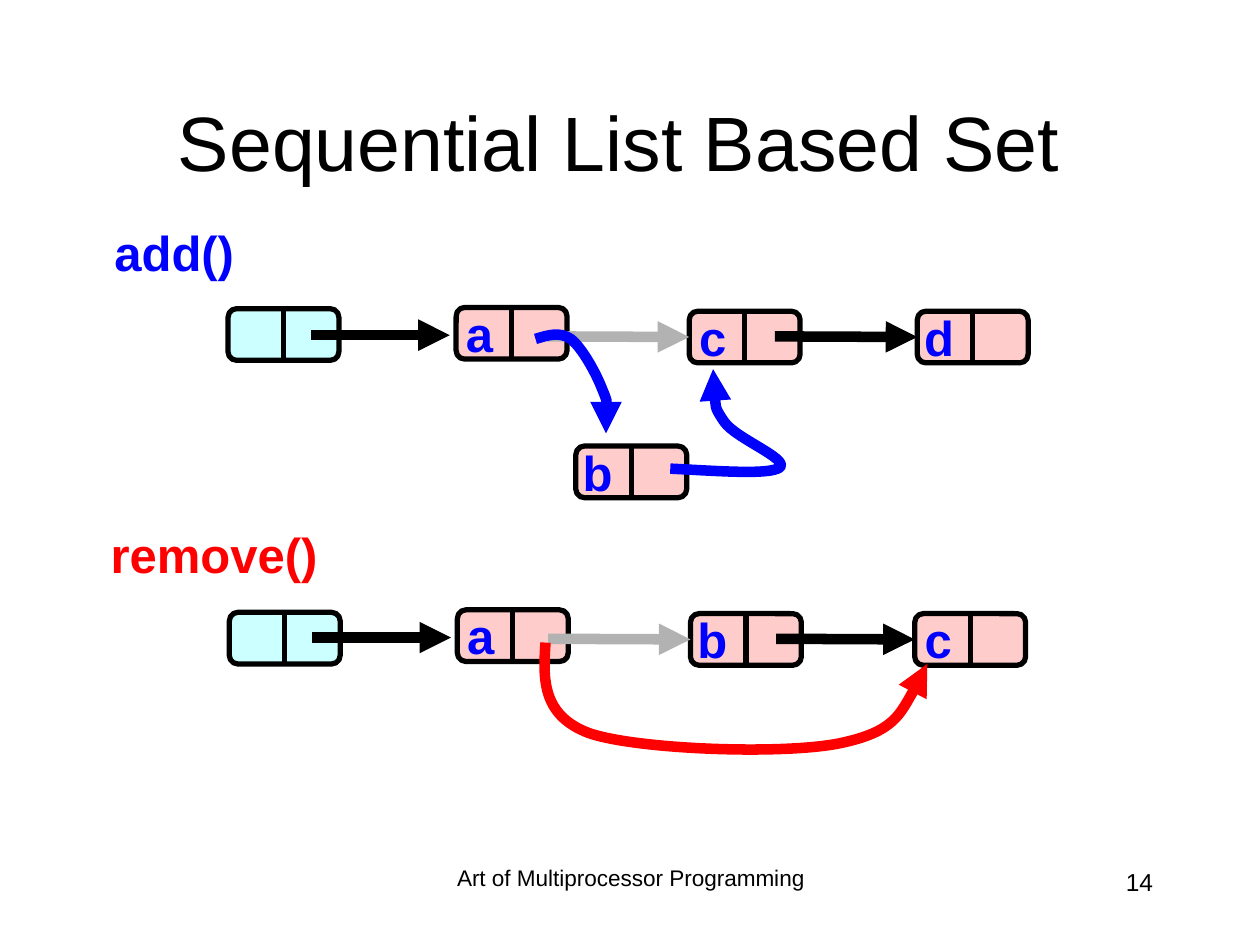
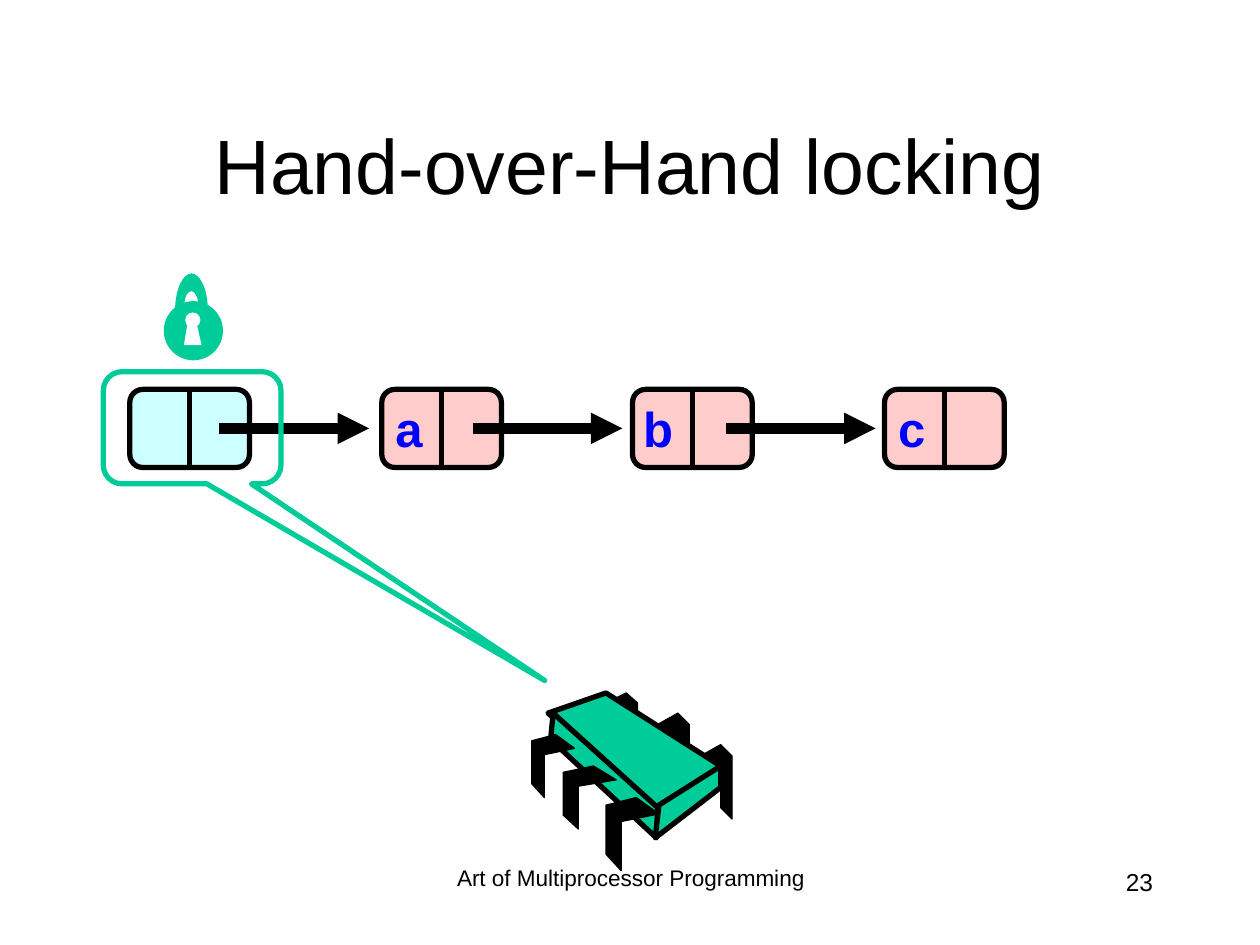
"""Build two slides about linked-list sets and hand-over-hand locking."""
from typing import NamedTuple, Optional

from lxml.etree import SubElement
from pptx import Presentation
from pptx.dml.color import RGBColor
from pptx.enum.shapes import MSO_CONNECTOR, MSO_SHAPE
from pptx.enum.text import MSO_ANCHOR, MSO_AUTO_SIZE, PP_ALIGN
from pptx.oxml.ns import qn
from pptx.util import Pt

PX = 9144
BLACK = RGBColor(0x00, 0x00, 0x00)
WHITE = RGBColor(0xFF, 0xFF, 0xFF)
BLUE = RGBColor(0x00, 0x00, 0xFF)
RED = RGBColor(0xFF, 0x00, 0x00)
GREY = RGBColor(0xB2, 0xB2, 0xB2)
GREEN = RGBColor(0x00, 0xCC, 0x99)
CYAN = RGBColor(0xCC, 0xFF, 0xFF)
PINK = RGBColor(0xFF, 0xCC, 0xCC)
FONT = "Arial"
CORNER = 0.167
LABEL_HEIGHT = 57
NARROW_LETTERS = "ac"


class Box(NamedTuple):
    left: int
    top: int
    width: int
    height: int


class Text(NamedTuple):
    content: str
    box: Box
    size: float = 28
    color: RGBColor = BLACK
    bold: bool = False
    align: PP_ALIGN = PP_ALIGN.LEFT
    anchor: MSO_ANCHOR = MSO_ANCHOR.TOP
    wrap: bool = True
    spacing: float = 1.0


class Node(NamedTuple):
    left: int
    top: int
    letter: str = ""


class Arrow(NamedTuple):
    left: int
    middle: int
    length: int
    color: RGBColor = BLACK
    target: Optional[int] = None


class Outline(NamedTuple):
    start: tuple
    segments: list
    fill: Optional[RGBColor] = None
    line: Optional[RGBColor] = None
    weight: float = 0
    arrow: bool = False


class Leg(NamedTuple):
    box: Box
    points: list


class Row(NamedTuple):
    width: int
    height: int
    nodes: list
    arrows: list


BACK_LEG = [(0, 9), (16, 0), (25, 9), (25, 59), (16, 50), (16, 17), (0, 25)]
FRONT_LEG = [(24, 0), (42, 13), (12, 19), (12, 58), (0, 45), (0, 6)]

ADD_ROW = Row(88, 41, [
    Node(181, 245), Node(362, 244, "a"), Node(547, 247, "c"),
    Node(728, 247, "d"), Node(457, 354, "b"),
], [
    Arrow(247, 266, 110), Arrow(615, 267, 111, target=3),
    Arrow(434, 267, 111, GREY, target=2),
])
REMOVE_ROW = Row(88, 41, [
    Node(182, 486), Node(363, 484, "a"), Node(548, 487, "b"), Node(726, 487, "c"),
], [
    Arrow(248, 506, 110), Arrow(616, 507, 111, target=3),
    Arrow(435, 507, 111, GREY, target=2),
])
LOCK_ROW = Row(95, 62, [
    Node(103 + 200 * index - index // 2, 309, letter)
    for index, letter in enumerate(["", "a", "b", "c"])
], [Arrow(174 + 201 * index, 340, 119) for index in range(3)])

CURVES = [
    Outline((532, 372), [
        [(572, 374), (611, 377), (619, 371)],
        [(626, 364), (584, 348), (575, 335)],
        [(566, 322), (566, 307), (566, 293)],
    ], line=BLUE, weight=6, arrow=True),
    Outline((425, 269), [
        [(435, 266), (444, 263), (453, 269)],
        [(462, 276), (473, 296), (478, 309)],
        [(483, 321), (482, 332), (481, 344)],
    ], line=BLUE, weight=6, arrow=True),
    Outline((433, 510), [
        [(431, 539), (430, 568), (468, 582)],
        [(507, 595), (621, 599), (666, 590)],
        [(710, 581), (723, 554), (736, 527)],
    ], line=RED, weight=6, arrow=True),
]
BACK_LEGS = [
    Leg(Box(556, 591, 25, 59), BACK_LEG),
    Leg(Box(522, 566, 25, 59), BACK_LEG),
    Leg(Box(481, 550, 25, 50), BACK_LEG),
]
FRONT_LEGS = [
    Leg(Box(481, 633, 42, 58), FRONT_LEG),
    Leg(Box(447, 608, 42, 50), FRONT_LEG),
    Leg(Box(422, 583, 34, 50), FRONT_LEG),
]
CHIP_FACES = [
    [(481, 550), (572, 608), (521, 643), (435, 566)],
    [(439, 566), (522, 641), (521, 665), (437, 587)],
    [(572, 608), (572, 625), (520, 665), (523, 639)],
]
KEYHOLE = [(146, 274), (149, 256), (156, 256), (160, 274)]
SHACKLE = Outline((146, 246), [
    [(146, 238), (148, 231), (152, 231)],
    [(155, 231), (158, 238), (158, 246)],
    [(165, 246)],
    [(165, 230), (159, 217), (152, 217)],
    [(145, 217), (139, 230), (139, 246)],
    [(146, 246)],
], fill=GREEN)


def to_emu(lengths) -> list:
    """Turn px lengths into EMU."""
    return [length * PX for length in lengths]


def apply(target, values: dict) -> None:
    """Set each named attribute of the target."""
    for name, value in values.items():
        setattr(target, name, value)


def paint(shape, fill: Optional[RGBColor], line: Optional[RGBColor], weight: float) -> None:
    """Give a shape its fill and line, without a shadow."""
    shape.shadow.inherit = False
    for part, color in ((shape.fill, fill), (shape.line.fill, line)):
        if color is None:
            part.background()
        else:
            part.solid()
            part.fore_color.rgb = color
    if line is not None:
        shape.line.width = Pt(weight)


def add_arrowhead(shape) -> None:
    """Put a triangle at the far end of a line."""
    outline = shape._element.spPr.find(qn("a:ln"))
    SubElement(outline, qn("a:tailEnd"), type="triangle")


def draw_text(slide, text: Text) -> None:
    """Draw one text box."""
    shape = slide.shapes.add_textbox(*to_emu(text.box))
    frame = shape.text_frame
    fit = MSO_AUTO_SIZE.NONE if text.wrap else MSO_AUTO_SIZE.SHAPE_TO_FIT_TEXT
    apply(frame, {"word_wrap": text.wrap, "auto_size": fit,
                  "vertical_anchor": text.anchor})
    paragraph = frame.paragraphs[0]
    apply(paragraph, {"text": text.content, "alignment": text.align,
                      "line_spacing": text.spacing})
    font = paragraph.runs[0].font
    apply(font, {"name": FONT, "size": Pt(text.size), "bold": text.bold})
    font.color.rgb = text.color


def draw_shape(slide, kind: MSO_SHAPE, box: Box, fill: Optional[RGBColor] = None,
               line: Optional[RGBColor] = None, weight: float = 0, adjustments: tuple = ()):
    """Draw one preset shape and return it."""
    shape = slide.shapes.add_shape(kind, *to_emu(box))
    for index, value in enumerate(adjustments):
        shape.adjustments[index] = value
    paint(shape, fill, line, weight)
    return shape


def draw_line(slide, start: tuple, end: tuple, color: RGBColor, weight: float):
    """Draw one straight connector and return it."""
    connector = slide.shapes.add_connector(
        MSO_CONNECTOR.STRAIGHT, *to_emu(start + end))
    connector.line.color.rgb = color
    connector.line.width = Pt(weight)
    SubElement(connector._element.spPr, qn("a:effectLst"))
    return connector


def draw_outline(slide, outline: Outline) -> None:
    """Draw a free outline; three-point segments become Bézier curves."""
    points = [point for segment in outline.segments for point in segment]
    builder = slide.shapes.build_freeform(*outline.start, scale=PX)
    builder.add_line_segments(points, close=outline.fill is not None)
    shape = builder.convert_to_shape()
    steps = iter(list(shape._element.iter(qn("a:lnTo"))))
    for segment in outline.segments:
        first, *others = [next(steps) for _ in segment]
        if others:
            first.tag = qn("a:cubicBezTo")
            for step in others:
                first.append(step[0])
                step.getparent().remove(step)
    paint(shape, outline.fill, outline.line, outline.weight)
    if outline.arrow:
        add_arrowhead(shape)


def draw_polygon(slide, points: list, fill: RGBColor,
                 line: Optional[RGBColor] = None, weight: float = 0) -> None:
    """Draw a closed outline with straight sides."""
    segments = [[point] for point in points[1:]]
    draw_outline(slide, Outline(points[0], segments, fill, line, weight))


def draw_leg(slide, leg: Leg) -> None:
    """Draw a chip leg fitted to its box."""
    span_x, span_y = (max(values) for values in zip(*leg.points))
    points = [(leg.box.left + round(x * leg.box.width / span_x),
               leg.box.top + round(y * leg.box.height / span_y))
              for x, y in leg.points]
    draw_polygon(slide, points, BLACK, BLACK, 0.75)


def draw_node(slide, node: Node, width: int, height: int):
    """Draw a two-cell list node and return its rectangle."""
    left, top, letter = node
    rectangle = draw_shape(slide, MSO_SHAPE.ROUNDED_RECTANGLE, Box(left, top, width, height),
                           PINK if letter else CYAN, BLACK, 3, (CORNER,))
    middle = left + width // 2
    divider = draw_line(slide, (middle, top), (middle, top + height), BLACK, 3)
    divider.begin_connect(rectangle, 0)
    divider.end_connect(rectangle, 2)
    if letter:
        label_width = 41 if letter in NARROW_LETTERS else 44
        box = Box(middle - 5 - label_width, top + (height - LABEL_HEIGHT) // 2,
                  label_width, LABEL_HEIGHT)
        draw_text(slide, Text(letter, box, color=BLUE, bold=True,
                              align=PP_ALIGN.RIGHT, wrap=False))
    return rectangle


def draw_row(slide, row: Row) -> None:
    """Draw the nodes of a list and the arrows between them."""
    rectangles = [draw_node(slide, node, row.width, row.height) for node in row.nodes]
    for left, middle, length, color, target in row.arrows:
        connector = draw_line(slide, (left, middle), (left + length, middle), color, 6)
        add_arrowhead(connector)
        if target is not None:
            connector.end_connect(rectangles[target], 1)


def add_slide(presentation, title: str, title_top: int, number: int):
    """Add a blank slide with its footer, number and title."""
    slide = presentation.slides.add_slide(presentation.slide_layouts[6])
    for text in (
        Text("Art of Multiprocessor Programming", Box(342, 683, 317, 50), 12.9,
             align=PP_ALIGN.CENTER, spacing=0.9),
        Text(str(number), Box(717, 683, 208, 50), 14, align=PP_ALIGN.RIGHT),
        Text(title, Box(75, title_top, 850, 125), 44,
             align=PP_ALIGN.CENTER, anchor=MSO_ANCHOR.MIDDLE),
    ):
        draw_text(slide, text)
    return slide


def build_list_slide(presentation) -> None:
    """Show add() and remove() on a sequential list."""
    slide = add_slide(presentation, "Sequential List Based Set ", 49, 14)
    for row in (ADD_ROW, REMOVE_ROW):
        draw_row(slide, row)
    for curve in CURVES:
        draw_outline(slide, curve)
    for method, box, color in (("add()", Box(81, 172, 125, 57), BLUE),
                               ("remove()", Box(78, 411, 195, 57), RED)):
        draw_text(slide, Text(method, box, color=color, bold=True, wrap=False))


def build_locking_slide(presentation) -> None:
    """Show a processor holding the lock of the first node."""
    slide = add_slide(presentation, "Hand-over-Hand locking", 67, 23)
    draw_row(slide, LOCK_ROW)
    for leg in BACK_LEGS:
        draw_leg(slide, leg)
    for face in CHIP_FACES:
        draw_polygon(slide, face, GREEN, BLACK, 3)
    for leg in FRONT_LEGS:
        draw_leg(slide, leg)
    draw_shape(slide, MSO_SHAPE.ROUNDED_RECTANGULAR_CALLOUT, Box(82, 295, 141, 89),
               line=GREEN, weight=3, adjustments=(1.985, 2.254, CORNER))
    for box, color in ((Box(130, 239, 47, 47), GREEN), (Box(147, 248, 12, 12), WHITE)):
        draw_shape(slide, MSO_SHAPE.OVAL, box, color)
    draw_polygon(slide, KEYHOLE, WHITE)
    draw_outline(slide, SHACKLE)


def main() -> None:
    """Build and save the presentation."""
    presentation = Presentation()
    apply(presentation, {"slide_width": 1000 * PX, "slide_height": 750 * PX})
    build_list_slide(presentation)
    build_locking_slide(presentation)
    presentation.save("out.pptx")


if __name__ == "__main__":
    main()
